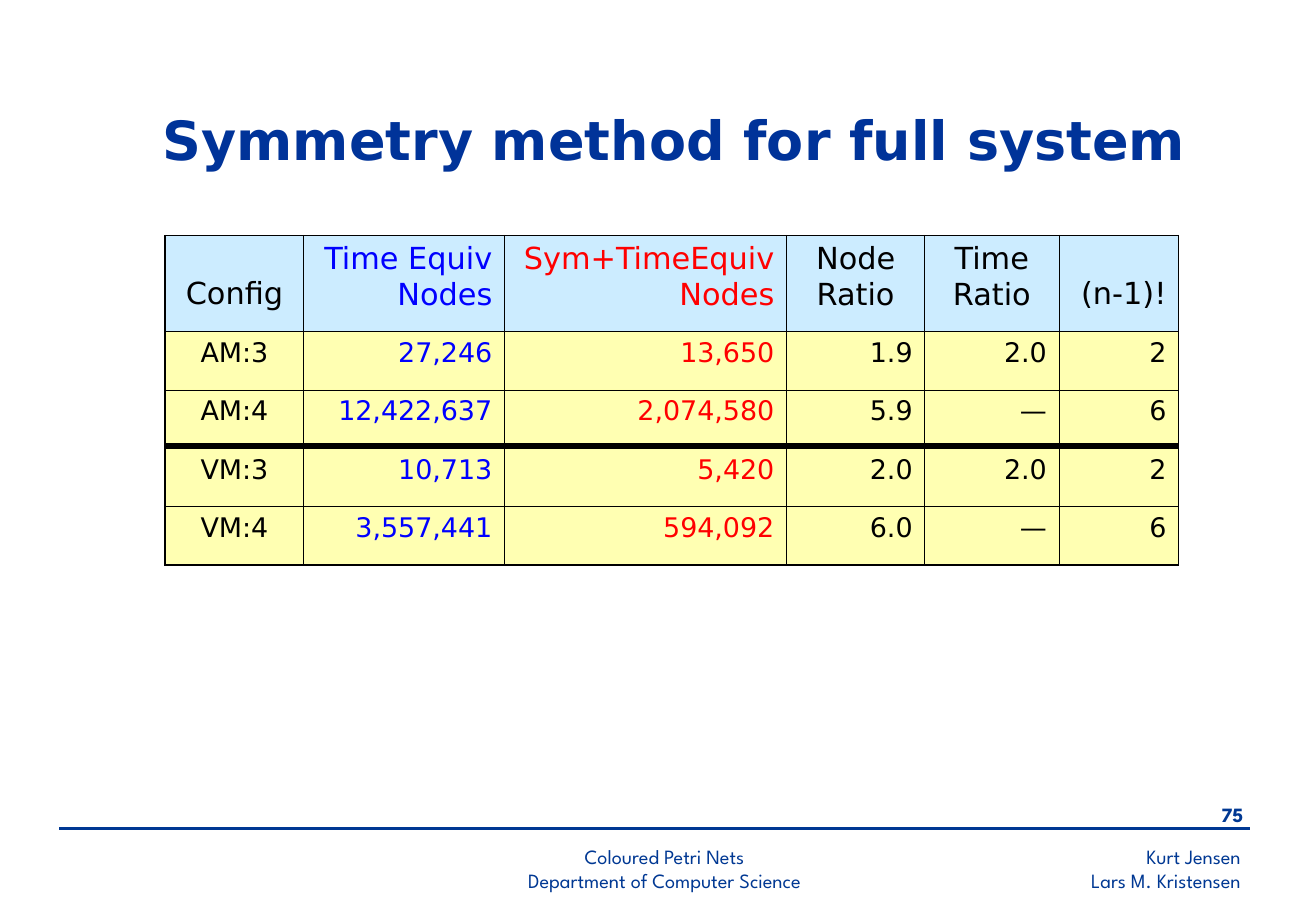
from lxml import etree
from pptx import Presentation
from pptx.dml import color
from pptx.enum import shapes, text
from pptx.oxml import ns
from pptx.util import Pt

NAVY, BLACK, BLUE, RED = "003893", "000000", "0000FF", "FF0000"
LEFT, WIDTH = 97.92, 601.2
HEADER_TOP, HEADER_HEIGHT = 139.68, 56.88
DATA_TOP, DATA_HEIGHT = 196.56, 34.56
COLUMN_WIDTHS = [82.3, 119, 167.3, 82, 79.6, 71]
COLUMN_COLOURS = [BLACK, BLUE, RED, BLACK, BLACK, BLACK]
CENTER, RIGHT = text.PP_ALIGN.CENTER, text.PP_ALIGN.RIGHT
HEADER = [["Config", "Time Equiv\vNodes", "Sym+TimeEquiv\vNodes",
           "Node Ratio", "Time\vRatio", "(n-1)!"]]
HEADER_ALIGNS = [CENTER, RIGHT, RIGHT, CENTER, CENTER, RIGHT]
RESULTS = [
    ["AM:3", "27,246", "13,650", "1.9", "2.0", "2"],
    ["AM:4", "12,422,637", "2,074,580", "5.9", "—", "6"],
    ["VM:3", "10,713", "5,420", "2.0", "2.0", "2"],
    ["VM:4", "3,557,441", "594,092", "6.0", "—", "6"],
]
RESULT_ALIGNS = [CENTER] + [RIGHT] * 5


def rgb(value):
    return color.RGBColor.from_string(value)


def style(para, size, colour, align, name, bold=False):
    para.alignment = align
    para.font.size = Pt(size)
    para.font.name = name
    para.font.bold = bold
    para.font.color.rgb = rgb(colour)


def add_text(page, place, lines, size=12, colour=NAVY, align=RIGHT,
             name="League Spartan", bold=False, anchor=text.MSO_ANCHOR.TOP):
    box = page.shapes.add_textbox(*map(Pt, place))
    frame = box.text_frame
    frame.word_wrap = True
    frame.vertical_anchor = anchor
    frame.text = "\n".join(lines)
    for para in frame.paragraphs:
        style(para, size, colour, align, name, bold)


def add_rule(page, left, right, top, colour, weight):
    rule = page.shapes.add_connector(
        shapes.MSO_CONNECTOR.STRAIGHT, Pt(left), Pt(top), Pt(right), Pt(top))
    rule.line.color.rgb = rgb(colour)
    rule.line.width = Pt(weight)
    etree.SubElement(rule._element.spPr, ns.qn("a:effectLst"))


def add_borders(cell, outer_sides):
    properties = cell._tc.get_or_add_tcPr()
    for position, outer in enumerate(outer_sides):
        line = etree.Element(ns.qn("a:ln" + "LRTB"[position]))
        line.set("w", str(int(Pt(1.08 if outer else 0.45))))
        fill = etree.SubElement(line, ns.qn("a:solidFill"))
        etree.SubElement(fill, ns.qn("a:srgbClr")).set("val", BLACK)
        properties.insert(position, line)


def fill_cell(cell, colour, opacity):
    cell.fill.solid()
    cell.fill.fore_color.rgb = rgb(colour)
    if opacity < 100:
        tint = cell._tc.tcPr.find(".//" + ns.qn("a:srgbClr"))
        etree.SubElement(tint, ns.qn("a:alpha")).set("val", str(opacity * 1000))


def add_grid(page, top, row_height, rows, aligns, size, fill, opacity=100):
    last_row, last_column = len(rows) - 1, len(COLUMN_WIDTHS) - 1
    grid = page.shapes.add_table(
        len(rows), len(COLUMN_WIDTHS), Pt(LEFT), Pt(top),
        Pt(WIDTH), Pt(row_height * len(rows))).table
    grid.first_row = grid.horz_banding = False
    for column, width in zip(grid.columns, COLUMN_WIDTHS):
        column.width = Pt(width)
    for r, values in enumerate(rows):
        grid.rows[r].height = Pt(row_height)
        for c, value in enumerate(values):
            cell = grid.cell(r, c)
            cell.text = value
            style(cell.text_frame.paragraphs[0], size, COLUMN_COLOURS[c],
                  aligns[c], "DejaVu Sans")
            fill_cell(cell, fill, opacity)
            add_borders(cell, [c == 0, c == last_column, r == 0, r == last_row])
    return grid


def main():
    deck = Presentation()
    deck.slide_width, deck.slide_height = Pt(780.48), Pt(540)
    page = deck.slides.add_slide(deck.slide_layouts[6])

    add_text(page, (500.4, 496.8, 242.64, 36), ["Kurt Jensen", "Lars M. Kristensen"])
    add_text(page, (693.36, 472.32, 51.12, 23.76), ["75"], bold=True)
    add_rule(page, 35.28, 741.6, 491.04, NAVY, 1.5)
    add_text(page, (245.52, 496.8, 297.36, 33.84),
             ["Coloured Petri Nets", "Department of Computer Science"], align=CENTER)

    header = add_grid(page, HEADER_TOP, HEADER_HEIGHT, HEADER, HEADER_ALIGNS,
                      18, "CCECFF")
    for column in (0, 5):
        header.cell(0, column).margin_top = Pt(24.3)
    add_text(page, (89.28, 57.6, 666, 49.68), ["Symmetry method for full system"],
             32, "003399", text.PP_ALIGN.LEFT, "DejaVu Sans", True,
             text.MSO_ANCHOR.MIDDLE)
    add_grid(page, DATA_TOP, DATA_HEIGHT, RESULTS, RESULT_ALIGNS, 16, "FFFF66", 50)
    add_rule(page, LEFT, LEFT + WIDTH, 264.24, BLACK, 3)

    deck.save("out.pptx")


if __name__ == "__main__":
    main()
